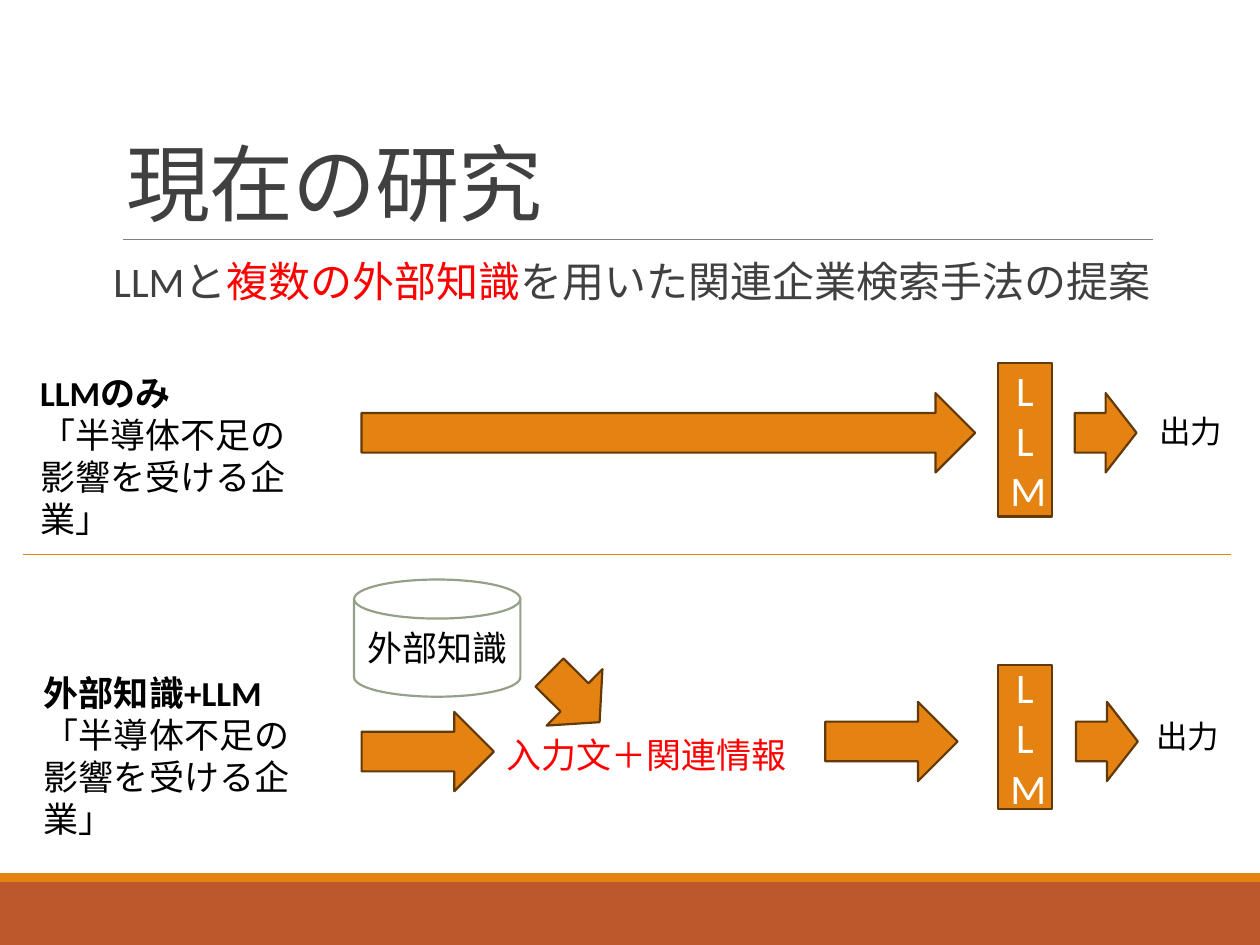
from dataclasses import dataclass

from lxml import etree
from pptx import Presentation
from pptx.dml import color as clr
from pptx.enum import shapes as shp, text as txt
from pptx.oxml import ns
from pptx.util import Inches, Pt

ORANGE, BROWN, RUST = "E48312", "643908", "BD582C"
GRAY, RED, BLACK, WHITE = "404040", "FF0000", "000000", "FFFFFF"
KIND = shp.MSO_SHAPE


@dataclass
class Arrow:
    left: float
    top: float
    width: float
    turn: float = 0


@dataclass
class Label:
    left: float
    top: float
    width: float
    height: float
    lines: list[str]
    size: int = 20
    color: str = BLACK
    head: bool = False


@dataclass
class Model:
    top: float
    height: float


ARROWS = [
    Arrow(2.87, 3.12, 4.87),
    Arrow(8.53, 3.12, 0.49),
    Arrow(2.87, 5.65, 1.05),
    Arrow(4.28, 5.22, 0.56, 44.7),
    Arrow(6.55, 5.57, 1.05),
    Arrow(8.54, 5.57, 0.49),
]
QUERY = ["「半導体不足の", "影響を受ける企業」"]
LABELS = [
    Label(0.22, 2.9, 2.52, 1.11, ["LLMのみ"] + QUERY, head=True),
    Label(0.25, 5.28, 2.52, 1.11, ["外部知識+LLM"] + QUERY, head=True),
    Label(3.92, 5.77, 2.52, 0.44, ["入力文＋関連情報"], color=RED),
    Label(9.1, 3.22, 0.98, 0.4, ["出力"], 18),
    Label(9.08, 5.64, 0.98, 0.4, ["出力"], 18),
]
MODELS = [Model(2.88, 1.22), Model(5.28, 1.14)]


def rgb(code: str) -> clr.RGBColor:
    return clr.RGBColor.from_string(code)


def place(item, left: float, top: float, width: float, height: float) -> None:
    item.left, item.top = Inches(left), Inches(top)
    item.width, item.height = Inches(width), Inches(height)


def style(font, size: int, color: str, bold: bool = False) -> None:
    font.name, font.size, font.bold = "Calibri", Pt(size), bold
    font.color.rgb = rgb(color)


def write(frame, lines: list[str], size: int, color: str,
          align=txt.PP_ALIGN.LEFT, head: bool = False) -> None:
    frame.text = "\n".join(lines)
    for row, para in enumerate(frame.paragraphs):
        para.alignment = align
        style(para.font, size, color, head and row == 0)


def block(slide, kind, left: float, top: float, width: float, height: float,
          fill: str = ORANGE, edge: str = BROWN):
    item = slide.shapes.add_shape(
        kind, Inches(left), Inches(top), Inches(width), Inches(height))
    item.shadow.inherit = False
    item.fill.solid()
    item.fill.fore_color.rgb = rgb(fill)
    if edge:
        item.line.color.rgb = rgb(edge)
        item.line.width = Pt(1.25)
    else:
        item.line.fill.background()
    return item


def fill_text(item, lines: list[str], size: int, color: str) -> None:
    item.text_frame.vertical_anchor = txt.MSO_ANCHOR.MIDDLE
    write(item.text_frame, lines, size, color, txt.PP_ALIGN.CENTER)


def rule(slide, left: float, right: float, top: float, color: str,
         width: float) -> None:
    line = slide.shapes.add_connector(
        shp.MSO_CONNECTOR.STRAIGHT,
        Inches(left), Inches(top), Inches(right), Inches(top))
    line.line.color.rgb = rgb(color)
    line.line.width = Pt(width)
    etree.SubElement(line._element.spPr, ns.qn("a:effectLst"))


def draw_arrow(slide, arrow: Arrow) -> None:
    item = block(slide, KIND.RIGHT_ARROW, arrow.left, arrow.top,
                 arrow.width, 0.63)
    item.rotation = arrow.turn


def draw_label(slide, label: Label) -> None:
    box = slide.shapes.add_textbox(
        Inches(label.left), Inches(label.top),
        Inches(label.width), Inches(label.height))
    box.text_frame.word_wrap = True
    write(box.text_frame, label.lines, label.size, label.color,
          head=label.head)


def draw_model(slide, model: Model) -> None:
    item = block(slide, KIND.RECTANGLE, 7.92, model.top, 0.43, model.height)
    fill_text(item, list("LLM"), 24, WHITE)


def draw_title(slide) -> None:
    title = slide.shapes.title
    place(title, 0.9, 0.31, 8.25, 1.59)
    frame = title.text_frame
    frame.auto_size = txt.MSO_AUTO_SIZE.NONE
    frame.vertical_anchor = txt.MSO_ANCHOR.BOTTOM
    write(frame, ["現在の研究"], 48, GRAY)
    para = frame.paragraphs[0]
    para.line_spacing = 0.85
    para.runs[0]._r.get_or_add_rPr().set("spc", "-50")


def draw_body(slide) -> None:
    body = slide.placeholders[1]
    place(body, 0.9, 2.02, 8.25, 4.4)
    frame = body.text_frame
    frame.auto_size = txt.MSO_AUTO_SIZE.NONE
    frame.margin_left = frame.margin_right = 0
    para = frame.paragraphs[0]
    para.line_spacing = 0.9
    para.space_before, para.space_after = Pt(12), Pt(2)
    props = para._p.get_or_add_pPr()
    props.set("marL", "0")
    props.set("indent", "0")
    etree.SubElement(props, ns.qn("a:buNone"))
    for words, color in [("LLMと", GRAY), ("複数の外部知識", RED),
                         ("を用いた関連企業検索手法の提案", GRAY)]:
        run = para.add_run()
        run.text = words
        style(run.font, 24, color)


def main() -> None:
    deck = Presentation()
    deck.slide_width, deck.slide_height = Inches(10), Inches(7.5)
    slide = deck.slides.add_slide(deck.slide_layouts[1])
    block(slide, KIND.RECTANGLE, 0, 7, 10, 0.5, RUST, "")
    block(slide, KIND.RECTANGLE, 0, 6.93, 10, 0.07, ORANGE, "")
    rule(slide, 0.98, 9.15, 1.9, "808080", 0.5)
    draw_title(slide)
    draw_body(slide)
    for arrow in ARROWS:
        draw_arrow(slide, arrow)
    for label in LABELS:
        draw_label(slide, label)
    disk = block(slide, KIND.FLOWCHART_MAGNETIC_DISK, 2.81, 4.6, 1.32, 0.93,
                 WHITE, "94A088")
    fill_text(disk, ["外部知識"], 20, BLACK)
    rule(slide, 0.18, 9.77, 4.4, ORANGE, 1)
    for model in MODELS:
        draw_model(slide, model)
    deck.save("out.pptx")


if __name__ == "__main__":
    main()
